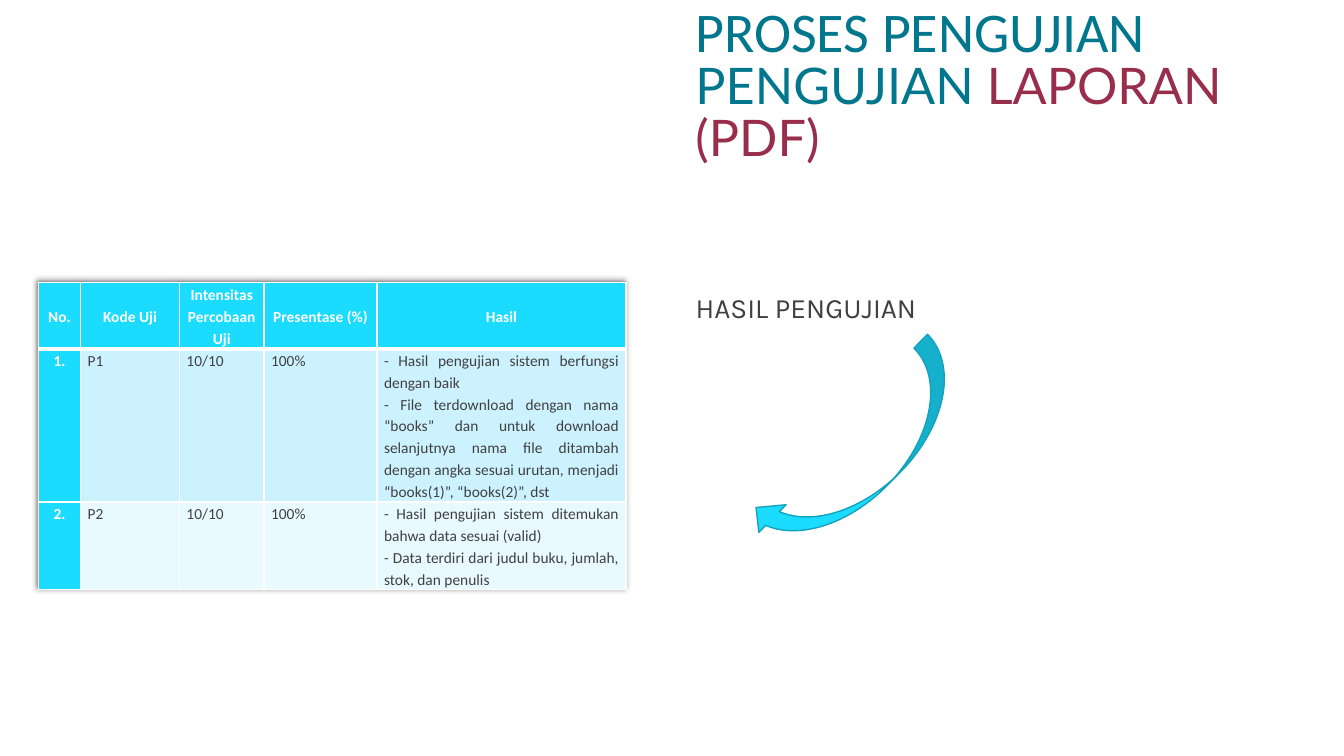
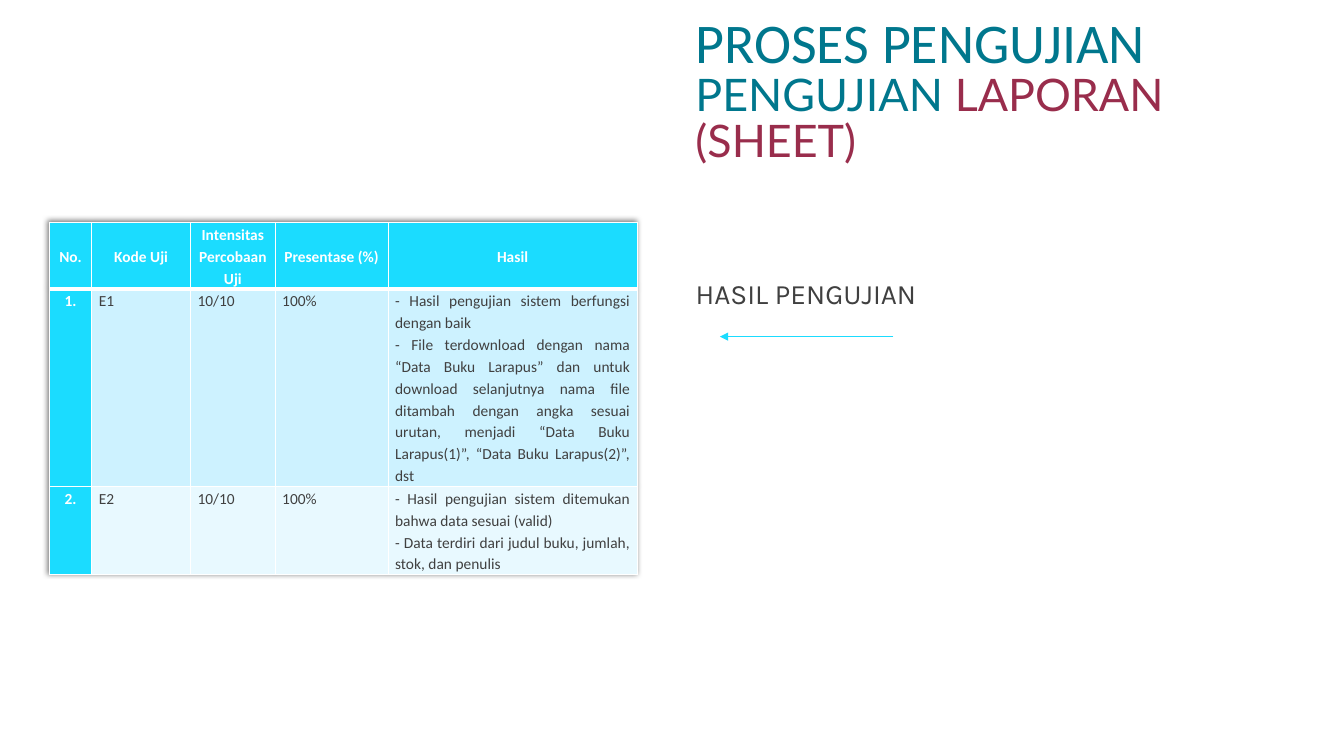
from lxml import etree
from pptx import Presentation
from pptx.dml.color import RGBColor
from pptx.enum.dml import MSO_THEME_COLOR
from pptx.enum.shapes import MSO_CONNECTOR, MSO_SHAPE
from pptx.enum.text import MSO_ANCHOR, PP_ALIGN
from pptx.oxml import parse_xml
from pptx.oxml.ns import nsdecls, qn
from pptx.util import Inches, Pt

CENTER, JUSTIFY, LEFT = PP_ALIGN.CENTER, PP_ALIGN.JUSTIFY, PP_ALIGN.LEFT
TOP, MIDDLE, BOTTOM = MSO_ANCHOR.TOP, MSO_ANCHOR.MIDDLE, MSO_ANCHOR.BOTTOM
CURVED_ARROW, STRAIGHT = MSO_SHAPE.CURVED_DOWN_ARROW, MSO_CONNECTOR.STRAIGHT
BACKGROUND = MSO_THEME_COLOR.BACKGROUND_1

COLORS = {
    "teal": "00778D", "maroon": "992D4C", "text": "404040", "white": "FFFFFF",
    "cyan": "1BDCFF", "outline": "14A3BD", "band_dark": "CDF2FF", "band_light": "E8F9FF",
}
BANDS = ["band_dark", "band_light"]
TITLE_BOX = (6.8, 0.42, 6.36, 1.28)
HEADINGS = ["No.", "Kode Uji", "Intensitas Percobaan Uji", "Presentase (%)", "Hasil"]
COLUMN_WIDTHS = [0.42, 0.98, 0.84, 1.12, 2.47]
INTENSITY, PERCENTAGE = "10/10", "100%"
WORKING = "- Hasil pengujian sistem berfungsi dengan baik"
VALID = [
    "- Hasil pengujian sistem ditemukan bahwa data sesuai (valid)",
    "- Data terdiri dari judul buku, jumlah, stok, dan penulis",
]
DOWNLOAD = (
    "- File terdownload dengan nama “{0}” dan untuk download selanjutnya nama file "
    "ditambah dengan angka sesuai urutan, menjadi “{0}(1)”, “{0}(2)”, dst"
)

REPORTS = [
    {
        "format": "LAPORAN (PDF)", "subject_size": 36, "code": "P", "file": "books",
        "caption": (6.8, 2.87, 6.15, 0.45),
        "table": (0.38, 2.8), "rows": [0.66, 1.52, 0.87],
        "curved_arrow": (7.25, 4.13, 2.61, 0.77),
    },
    {
        "format": "LAPORAN (SHEET)", "subject_size": 32, "code": "E", "file": "Data Buku Larapus",
        "caption": (6.8, 2.73, 6.15, 0.43),
        "table": (0.49, 2.21), "rows": [0.66, 1.96, 0.87],
        "straight_arrow": (8.86, 3.34, 7.14, 3.34),
    },
]


def inches(values):
    return [Inches(value) for value in values]


def rgb(name):
    return RGBColor.from_string(COLORS[name])


def add_run(paragraph, text, size, font, color, bold=False):
    run = paragraph.add_run()
    run.text = text
    run.font.size = Pt(size)
    run.font.name = font
    run.font.bold = bold
    run.font.color.rgb = rgb(color)


def add_text_box(slide, box, anchor, align, line_spacing):
    frame = slide.shapes.add_textbox(*inches(box)).text_frame
    frame.word_wrap = True
    frame.vertical_anchor = anchor
    paragraph = frame.paragraphs[0]
    paragraph.alignment = align
    paragraph.line_spacing = line_spacing
    return paragraph


def add_title(slide, report):
    title = add_text_box(slide, TITLE_BOX, BOTTOM, LEFT, 0.85)
    add_run(title, "PROSES PENGUJIAN", 40, "Calibri", "teal")
    title.add_line_break()
    add_run(title, "PENGUJIAN ", report["subject_size"], "Lato", "teal")
    add_run(title, report["format"], report["subject_size"], "Lato", "maroon")


def set_borders(cell, widths):
    properties = cell._tc.get_or_add_tcPr()
    for index, (side, width) in enumerate(zip("LRTB", widths)):
        properties.insert(index, parse_xml(
            f'<a:ln{side} {nsdecls("a")} w="{Pt(width)}"><a:solidFill>'
            f'<a:srgbClr val="{COLORS["white"]}"/></a:solidFill></a:ln{side}>'))


def fill_cell(cell, lines, fill, is_label, anchor):
    cell.fill.solid()
    cell.fill.fore_color.rgb = rgb(fill)
    cell.margin_left = cell.margin_right = Inches(0.07)
    cell.margin_top = cell.margin_bottom = 0
    cell.vertical_anchor = anchor
    frame = cell.text_frame
    for index, line in enumerate(lines):
        paragraph = frame.add_paragraph() if index else frame.paragraphs[0]
        paragraph.alignment = CENTER if is_label else JUSTIFY
        paragraph.line_spacing = 1.15
        add_run(paragraph, line, 11, "Calibri", "white" if is_label else "text", is_label)


def add_results(slide, report):
    code = report["code"]
    outcomes = [[WORKING, DOWNLOAD.format(report["file"])], VALID]
    rows = [[[heading] for heading in HEADINGS]]
    for number, outcome in enumerate(outcomes, 1):
        rows.append([[f"{number}."], [f"{code}{number}"], [INTENSITY], [PERCENTAGE], outcome])

    size = (sum(COLUMN_WIDTHS), sum(report["rows"]))
    table = slide.shapes.add_table(
        len(rows), len(HEADINGS), *inches(report["table"] + size)).table
    table._tbl.tblPr.insert(0, parse_xml(
        f'<a:effectLst {nsdecls("a")}><a:outerShdw blurRad="50800" dist="25400" dir="13500000">'
        '<a:prstClr val="black"><a:alpha val="50000"/></a:prstClr></a:outerShdw></a:effectLst>'))
    for column, width in zip(table.columns, COLUMN_WIDTHS):
        column.width = Inches(width)
    for r, (row, height) in enumerate(zip(rows, report["rows"])):
        table.rows[r].height = Inches(height)
        for c, lines in enumerate(row):
            is_label = r == 0 or c == 0
            cell = table.cell(r, c)
            fill_cell(cell, lines, "cyan" if is_label else BANDS[r - 1], is_label,
                      TOP if r else MIDDLE)
            set_borders(cell, (1, 1, 3 if r == 1 else 1, 1 if r else 3))


def add_curved_arrow(slide, box):
    arrow = slide.shapes.add_shape(CURVED_ARROW, *inches(box))
    arrow.rotation = 134.7
    arrow.shadow.inherit = False
    arrow.fill.solid()
    arrow.fill.fore_color.rgb = rgb("cyan")
    arrow.line.color.rgb = rgb("outline")
    arrow.line.width = Pt(1)


def add_straight_arrow(slide, ends):
    arrow = slide.shapes.add_connector(STRAIGHT, *inches(ends))
    arrow.line.color.rgb = rgb("cyan")
    arrow.line.width = Pt(0.5)
    etree.SubElement(arrow.line._get_or_add_ln(), qn("a:tailEnd"), type="triangle")
    etree.SubElement(arrow._element.spPr, qn("a:effectLst"))


def main():
    deck = Presentation()
    deck.slide_width, deck.slide_height = inches((13.33, 7.5))
    for report in REPORTS:
        slide = deck.slides.add_slide(deck.slide_layouts[6])
        slide.background.fill.solid()
        slide.background.fill.fore_color.theme_color = BACKGROUND
        caption = add_text_box(slide, report["caption"], TOP, JUSTIFY, 0.9)
        add_run(caption, "HASIL PENGUJIAN", 20, "Karla", "text")
        add_title(slide, report)
        if "curved_arrow" in report:
            add_curved_arrow(slide, report["curved_arrow"])
        if "straight_arrow" in report:
            add_straight_arrow(slide, report["straight_arrow"])
        add_results(slide, report)
    deck.save("out.pptx")


if __name__ == "__main__":
    main()
